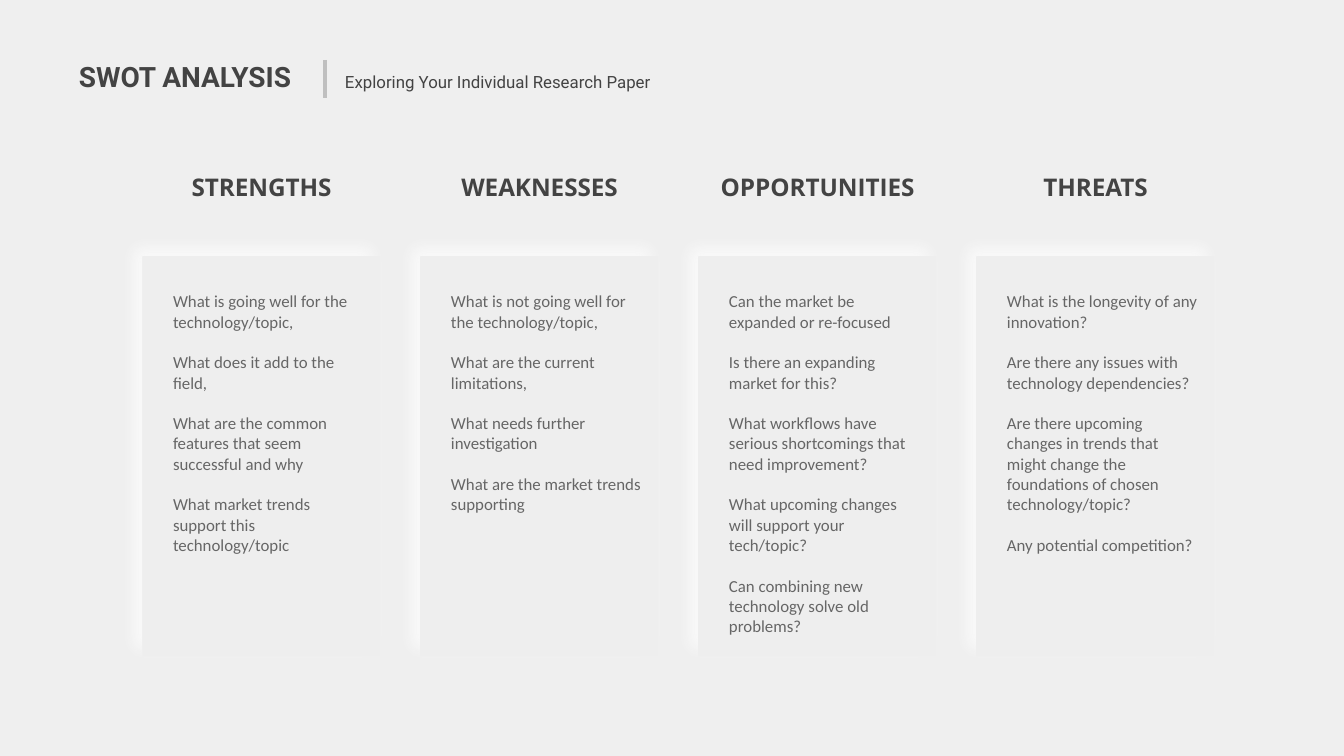
from lxml.etree import SubElement
from pptx import Presentation
from pptx.dml.color import RGBColor
from pptx.enum.shapes import MSO_CONNECTOR, MSO_SHAPE
from pptx.enum.text import MSO_ANCHOR, PP_ALIGN
from pptx.oxml.ns import qn
from pptx.util import Emu, Pt


def px(length):
    return Emu(round(length * 914400 / 134.4))


def write(frame, lines, font, size, color, bold=False, align=PP_ALIGN.LEFT,
          anchor=MSO_ANCHOR.TOP, left=13, top=13, gap=0):
    frame.word_wrap = True
    frame.vertical_anchor = anchor
    frame.margin_left, frame.margin_top = px(left), px(top)
    frame.margin_right = frame.margin_bottom = px(13)
    for number, line in enumerate(lines):
        paragraph = frame.add_paragraph() if number else frame.paragraphs[0]
        paragraph.text = line
        paragraph.alignment = align
        paragraph.space_before = Pt(gap if number else 0)
        paragraph.font.name = font
        paragraph.font.size = Pt(size)
        paragraph.font.bold = bold
        paragraph.font.color.rgb = RGBColor.from_string(color)


DARK, GREY, CARD, PAGE = "434343", "666666", "EEEEEE", "EFEFEF"
CARD_LEFT, CARD_TOP, CARD_WIDTH, CARD_HEIGHT, CARD_PITCH = 143, 257, 237, 399, 278

swot = [
    ("STRENGTHS", [
        "What is going well for the technology/topic,",
        "What does it add to the field,",
        "What are the common features that seem successful and why",
        "What market trends support this technology/topic",
    ]),
    ("WEAKNESSES", [
        "What is not going well for the technology/topic,",
        "What are the current limitations,",
        "What needs further investigation",
        "What are the market trends supporting",
    ]),
    ("OPPORTUNITIES", [
        "Can the market be expanded or re-focused",
        "Is there an expanding market for this?",
        "What workflows have serious shortcomings that need improvement?",
        "What upcoming changes will support your tech/topic?",
        "Can combining new technology solve old problems?",
    ]),
    ("THREATS", [
        "What is the longevity of any innovation?",
        "Are there any issues with technology dependencies?",
        "Are there upcoming changes in trends that might change the foundations "
        "of chosen technology/topic?",
        "Any potential competition?",
    ]),
]

deck = Presentation()
deck.slide_width, deck.slide_height = px(1344), px(756)
slide = deck.slides.add_slide(deck.slide_layouts[6])
slide.background.fill.solid()
slide.background.fill.fore_color.rgb = RGBColor.from_string(PAGE)
shapes = slide.shapes

for column, (heading, questions) in enumerate(swot):
    left = CARD_LEFT + column * CARD_PITCH
    label = shapes.add_textbox(px(left), px(159), px(CARD_WIDTH), px(47))
    write(label.text_frame, [heading], "Open Sans", 13, DARK, True, PP_ALIGN.CENTER)

    area = px(left), px(CARD_TOP), px(CARD_WIDTH), px(CARD_HEIGHT)
    base = shapes.add_shape(MSO_SHAPE.RECTANGLE, *area)
    card = shapes.add_shape(MSO_SHAPE.RECTANGLE, *area)
    for panel in (base, card):
        panel.shadow.inherit = False
        panel.fill.solid()
        panel.fill.fore_color.rgb = RGBColor.from_string(CARD)
    base.line.color.rgb = RGBColor.from_string(PAGE)
    base.line.width = Pt(0.75)
    card.line.fill.background()

    effects = base._element.spPr.find(qn("a:effectLst"))
    glow = SubElement(effects, qn("a:outerShdw"), blurRad=str(Pt(9)), dist=str(Pt(6.8)),
                      dir=str(225 * 60000), algn="bl", rotWithShape="0")
    glow_color = SubElement(glow, qn("a:srgbClr"), val="FFFFFF")
    SubElement(glow_color, qn("a:alpha"), val="76000")

    write(card.text_frame, questions, "Calibri", 9, GREY, left=30, top=34, gap=11)

title = shapes.add_textbox(px(66), px(47), px(246), px(66))
write(title.text_frame, ["SWOT ANALYSIS"], "Roboto", 15, DARK, True)

divider = shapes.add_connector(MSO_CONNECTOR.STRAIGHT, px(325), px(60), px(325), px(98))
divider.line.color.rgb = RGBColor.from_string("BFBFBF")
divider.line.width = Pt(2.25)
SubElement(divider._element.spPr, qn("a:effectLst"))

subtitle = shapes.add_textbox(px(332), px(58), px(974), px(48))
write(subtitle.text_frame, ["Exploring Your Individual Research Paper"], "Roboto", 9, DARK,
      anchor=MSO_ANCHOR.MIDDLE)

deck.save("out.pptx")
